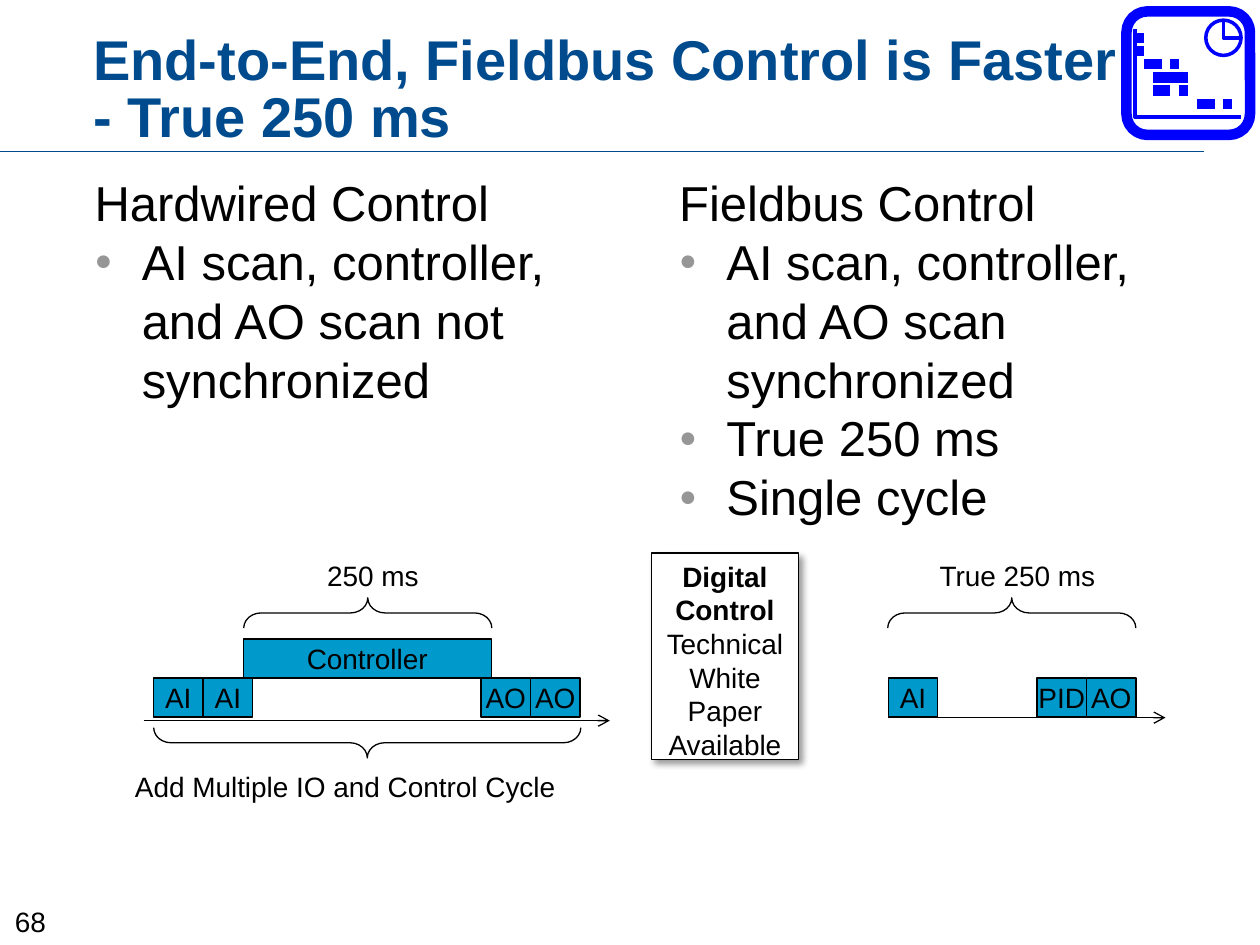
from typing import NamedTuple

from lxml import etree
from pptx import Presentation
from pptx.dml.color import RGBColor
from pptx.enum.shapes import MSO_CONNECTOR, MSO_SHAPE
from pptx.enum.text import MSO_ANCHOR, MSO_AUTO_SIZE, PP_ALIGN
from pptx.oxml.ns import qn
from pptx.util import Pt

LEFT, CENTER = PP_ALIGN.LEFT, PP_ALIGN.CENTER
TOP, MIDDLE, BOTTOM = MSO_ANCHOR.TOP, MSO_ANCHOR.MIDDLE, MSO_ANCHOR.BOTTOM
RECTANGLE, ROUNDED = MSO_SHAPE.RECTANGLE, MSO_SHAPE.ROUNDED_RECTANGLE
OVAL, BRACE = MSO_SHAPE.OVAL, MSO_SHAPE.RIGHT_BRACE
STRAIGHT = MSO_CONNECTOR.STRAIGHT

BLACK, WHITE, NAVY = "000000", "FFFFFF", "004B8D"
TEAL, BLUE, GREY = "0099CC", "0000FF", "969696"
BLOCK_WIDTH, BLOCK_HEIGHT, BLOCK_TOP = 28.3, 22.3, 387.4
BRACE_DEPTH, CYCLE_WIDTH = 17.3, 141.8
ICON_LEFT, ICON_TOP, COLUMN, ROW = 648.7, 21.6, 5.04, 7.56


class Area(NamedTuple):
    left: float
    top: float
    width: float
    height: float


class Block(NamedTuple):
    text: str
    left: float
    top: float = BLOCK_TOP
    width: float = BLOCK_WIDTH


class Brace(NamedTuple):
    left: float
    top: float
    width: float
    rotation: int


class Label(NamedTuple):
    text: str
    area: Area


class Bar(NamedTuple):
    row: int
    start: int
    end: int


BLOCKS = [
    Block("AI", 87.8), Block("AI", 116.1),
    Block("Controller", 139, 365.1, CYCLE_WIDTH),
    Block("AO", 274.9), Block("AO", 303.2),
    Block("AI", 507.6), Block("PID", 592.6), Block("AO", 620.9),
]
BRACES = [
    Brace(139.3, 341.6, CYCLE_WIDTH, 270),
    Brace(507.3, 341.6, CYCLE_WIDTH, 270),
    Brace(87.8, 415.8, 244.1, 90),
]
LABELS = [
    Label("68", Area(0, 513.4, 34.6, 26.6)),
    Label("250 ms", Area(179.3, 315.4, 67.7, 26.6)),
    Label("True 250 ms", Area(529.2, 315.4, 104.4, 26.6)),
    Label("Add Multiple IO and Control Cycle", Area(68.4, 436.3, 257.8, 26.6)),
]
BARS = [
    Bar(0, 0, 1), Bar(1, 0, 1), Bar(2, 1, 3), Bar(3, 2, 6), Bar(2, 4, 5),
    Bar(4, 2, 4), Bar(4, 5, 6), Bar(5, 7, 9), Bar(5, 10, 11),
]
COLUMNS = [
    ["Hardwired Control", "AI scan, controller, and AO scan not synchronized"],
    ["Fieldbus Control", "AI scan, controller, and AO scan synchronized",
     "True 250 ms", "Single cycle"],
]


def color(value: str) -> RGBColor:
    return RGBColor.from_string(value)


def add_element(parent, tag: str, **attributes):
    return etree.SubElement(parent, qn(tag), attributes)


def write(para, text: str, *, size: float = 16, ink: str = BLACK,
          bold: bool = False, align=CENTER, spacing: float = 1.0) -> None:
    para.text = text
    para.alignment = align
    para.line_spacing = spacing
    para.space_before = para.space_after = Pt(0)
    for span in para.runs:
        span.font.name = "Arial"
        span.font.size = Pt(size)
        span.font.bold = bold
        span.font.color.rgb = color(ink)


def place(box, area: Area) -> None:
    box.left, box.top, box.width, box.height = map(Pt, area)


def outline(shape, ink: str, weight: float, fill: str = "") -> None:
    shape.shadow.inherit = False
    shape.line.color.rgb = color(ink)
    shape.line.width = Pt(weight)
    if fill:
        shape.fill.solid()
        shape.fill.fore_color.rgb = color(fill)
    else:
        shape.fill.background()


def draw_shape(shapes, kind, area: Area, ink: str = BLACK,
               weight: float = 0.75, fill: str = ""):
    shape = shapes.add_shape(kind, *map(Pt, area))
    outline(shape, ink, weight, fill)
    return shape


def draw_line(shapes, start: tuple, end: tuple, ink: str = BLACK,
              weight: float = 0.75, arrow: bool = False) -> None:
    line = shapes.add_connector(STRAIGHT, *map(Pt, start + end))
    line.line.color.rgb = color(ink)
    line.line.width = Pt(weight)
    properties = line._element.spPr
    if arrow:
        add_element(properties.find(qn("a:ln")), "a:tailEnd", type="arrow")
    add_element(properties, "a:effectLst")


def draw_corner(shapes, left: float, top: float, right: float, bottom: float) -> None:
    builder = shapes.build_freeform(Pt(left), Pt(top))
    builder.add_line_segments(
        [(Pt(left), Pt(bottom)), (Pt(right), Pt(bottom))], close=False)
    outline(builder.convert_to_shape(), BLUE, 2)


def draw_block(shapes, block: Block) -> None:
    area = Area(block.left, block.top, block.width, BLOCK_HEIGHT)
    frame = draw_shape(shapes, RECTANGLE, area, fill=TEAL).text_frame
    frame.word_wrap = False
    frame.vertical_anchor = MIDDLE
    write(frame.paragraphs[0], block.text)


def draw_brace(shapes, brace: Brace) -> None:
    area = Area(brace.left + (brace.width - BRACE_DEPTH) / 2,
                brace.top + (BRACE_DEPTH - brace.width) / 2,
                BRACE_DEPTH, brace.width)
    shape = draw_shape(shapes, BRACE, area)
    shape.adjustments[0] = 0.57
    shape.adjustments[1] = 0.5
    shape.rotation = brace.rotation


def draw_label(shapes, label: Label) -> None:
    frame = shapes.add_textbox(*map(Pt, label.area)).text_frame
    frame.word_wrap = False
    write(frame.paragraphs[0], label.text)


def fill_column(box, left: float, lines: list[str]) -> None:
    place(box, Area(left, 95, 322.6, 118.1))
    frame = box.text_frame
    frame.auto_size = MSO_AUTO_SIZE.NONE
    frame.vertical_anchor = TOP
    for index, text in enumerate(lines):
        para = frame.add_paragraph() if index else frame.paragraphs[0]
        properties = para._p.get_or_add_pPr()
        properties.set("marL", str(Pt(27)))
        properties.set("indent", str(Pt(-27)))
        if index:
            add_element(add_element(properties, "a:buClr"), "a:srgbClr", val=GREY)
            add_element(properties, "a:buSzPct", val="60000")
            add_element(properties, "a:buFont", typeface="Arial")
            add_element(properties, "a:buChar", char="●")
        else:
            add_element(properties, "a:buNone")
        write(para, text, size=28, align=LEFT)


def draw_notice(shapes) -> None:
    box = draw_shape(shapes, RECTANGLE, Area(372.2, 316.1, 84.2, 118.1), fill=WHITE)
    effects = box._element.spPr.find(qn("a:effectLst"))
    shadow = add_element(effects, "a:outerShdw", blurRad=str(Pt(4)),
                         dist=str(Pt(3)), dir="2700000", algn="tl", rotWithShape="0")
    add_element(add_element(shadow, "a:srgbClr", val=BLACK), "a:alpha", val="40000")
    frame = box.text_frame
    frame.word_wrap = True
    frame.vertical_anchor = TOP
    write(frame.paragraphs[0], "Digital Control", bold=True)
    write(frame.add_paragraph(), "Technical White Paper Available")


def draw_schedule_icon(shapes) -> None:
    right = ICON_LEFT + 12 * COLUMN
    frame = draw_shape(shapes, ROUNDED, Area(643.7, 6.5, 70.6, 70.6), BLUE, 6)
    frame.adjustments[0] = 0.17
    draw_corner(shapes, ICON_LEFT, 16.6, right, ICON_TOP + 6 * ROW)
    for bar in BARS:
        height = ICON_TOP + bar.row * ROW
        draw_line(shapes, (ICON_LEFT + bar.start * COLUMN, height),
                  (ICON_LEFT + bar.end * COLUMN, height), BLUE, 6)
    radius = 2 * COLUMN
    draw_shape(shapes, OVAL, Area(right - 2 * radius, 11.5, 2 * radius, 2 * radius), BLUE, 2)
    draw_corner(shapes, right - radius, 11.5, right, 11.5 + radius)


def main() -> None:
    deck = Presentation()
    deck.slide_width, deck.slide_height = Pt(720), Pt(540)
    page = deck.slides.add_slide(deck.slide_layouts[3])
    shapes = page.shapes
    title, *columns = page.placeholders
    place(title, Area(46.1, 31.7, 662.4, 56.9))
    title.text_frame.auto_size = MSO_AUTO_SIZE.NONE
    title.text_frame.vertical_anchor = BOTTOM
    write(title.text_frame.paragraphs[0],
          "End-to-End, Fieldbus Control is Faster\n- True 250 ms",
          size=32, ink=NAVY, bold=True, align=LEFT, spacing=0.85)
    for box, left, lines in zip(columns, (46.8, 380.9), COLUMNS):
        fill_column(box, left, lines)
    draw_line(shapes, (0, 86.4), (688.3, 86.4), NAVY)
    for block in BLOCKS:
        draw_block(shapes, block)
    draw_line(shapes, (82.1, 411.8), (348.5, 411.8), arrow=True)
    draw_line(shapes, (507.6, 410.1), (666, 410.1), arrow=True)
    for brace in BRACES:
        draw_brace(shapes, brace)
    for label in LABELS:
        draw_label(shapes, label)
    draw_notice(shapes)
    draw_schedule_icon(shapes.add_group_shape().shapes)
    deck.save("out.pptx")


if __name__ == "__main__":
    main()
